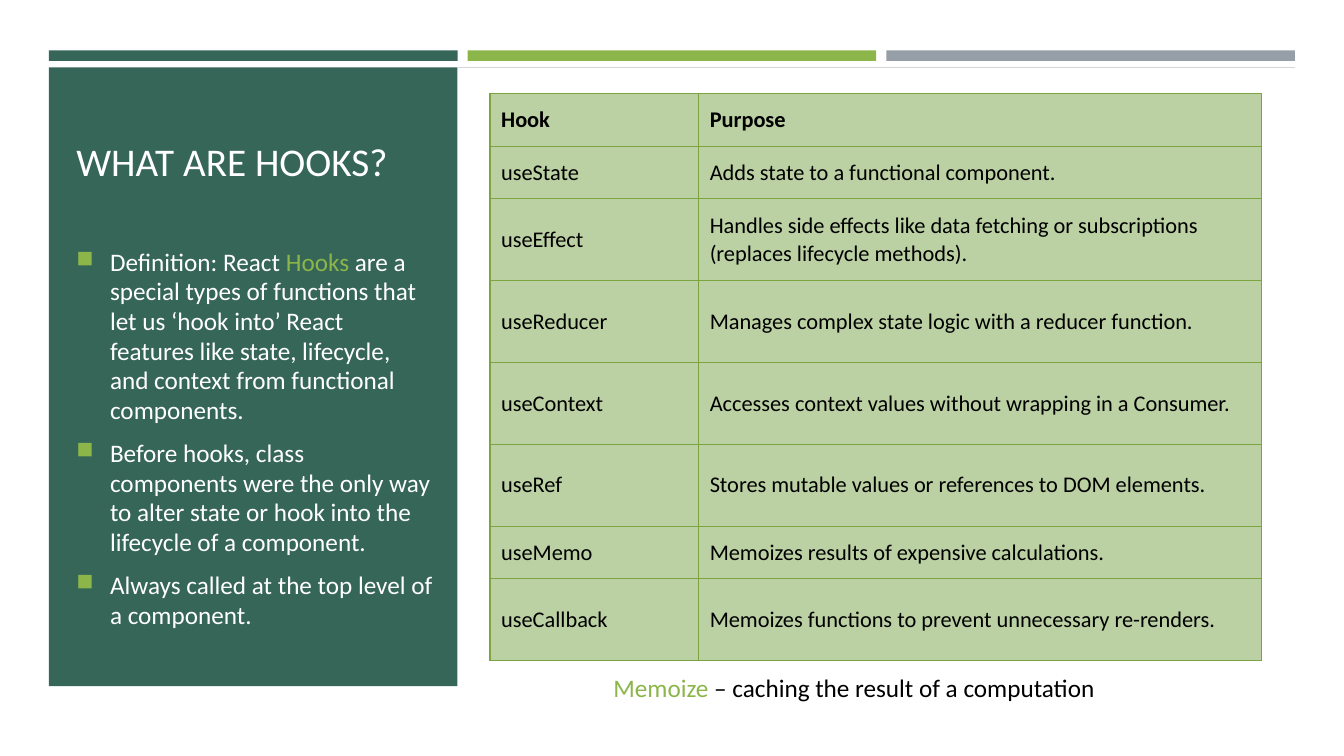
from lxml.etree import SubElement
from pptx import Presentation
from pptx.dml.color import RGBColor
from pptx.enum.shapes import MSO_CONNECTOR, MSO_SHAPE
from pptx.enum.text import MSO_ANCHOR
from pptx.oxml.ns import qn
from pptx.util import Pt

FONT = "Calibri"
GREEN, LIME, GREY = "366658", "8CB64A", "969FA7"
WHITE, BLACK = "FFFFFF", "000000"
CELL_FILL, CELL_BORDER, RULE = "BBD0A3", "7EA442", "D5D5D5"

DEFINITIONS = [
    [("Definition: React ", WHITE), ("Hooks", LIME),
     (" are a special types of functions that let us ‘hook into’ React features "
      "like state, lifecycle, and context from functional components.", WHITE)],
    [("Before hooks, class components were the only way to alter state or hook "
      "into the lifecycle of a component.", WHITE)],
    [("Always called at the top level of a component.", WHITE)],
]
SHORT_ROW, TALL_ROW = 37.5, 58.5
HOOKS = [
    ("Hook", "Purpose", SHORT_ROW),
    ("useState", "Adds state to a functional component.", SHORT_ROW),
    ("useEffect", "Handles side effects like data fetching or subscriptions "
     "(replaces lifecycle methods).", TALL_ROW),
    ("useReducer", "Manages complex state logic with a reducer function.", TALL_ROW),
    ("useContext", "Accesses context values without wrapping in a Consumer.", TALL_ROW),
    ("useRef", "Stores mutable values or references to DOM elements.", TALL_ROW),
    ("useMemo", "Memoizes results of expensive calculations.", SHORT_ROW),
    ("useCallback", "Memoizes functions to prevent unnecessary re-renders.", TALL_ROW),
]


def color(value):
    return RGBColor.from_string(value)


def add_block(slide, left, top, width, height, fill):
    block = slide.shapes.add_shape(
        MSO_SHAPE.RECTANGLE, Pt(left), Pt(top), Pt(width), Pt(height))
    block.shadow.inherit = False
    block.fill.solid()
    block.fill.fore_color.rgb = color(fill)
    block.line.fill.background()


def add_frame(slide, left, top, width, height, anchor, wrap=True):
    frame = slide.shapes.add_textbox(Pt(left), Pt(top), Pt(width), Pt(height)).text_frame
    frame.word_wrap = wrap
    frame.vertical_anchor = anchor
    return frame


def write(paragraph, pieces, size):
    """Fill a paragraph with (text, colour) pieces."""
    for text, text_color in pieces:
        run = paragraph.add_run()
        run.text = text
        run.font.color.rgb = color(text_color)
    paragraph.font.size = Pt(size)
    paragraph.font.name = FONT


def add_bullet(paragraph):
    properties = paragraph._p.get_or_add_pPr()
    properties.set("marL", str(Pt(24)))
    properties.set("indent", str(-Pt(24)))
    bullet_color = SubElement(properties, qn("a:buClr"))
    SubElement(bullet_color, qn("a:srgbClr"), val=LIME)
    SubElement(properties, qn("a:buSzPct"), val="92000")
    SubElement(properties, qn("a:buChar"), char="■")


def add_top_bars(slide, left, top, width, height):
    gap = 7.2
    bar_width = (width - 2 * gap) / 3
    for index, fill in enumerate((GREEN, LIME, GREY)):
        add_block(slide, left + index * (bar_width + gap), top, bar_width, height, fill)
    rule_top = Pt(top + 12.2)
    rule = slide.shapes.add_connector(
        MSO_CONNECTOR.STRAIGHT, Pt(left + bar_width), rule_top, Pt(left + width), rule_top)
    rule.line.color.rgb = color(RULE)
    rule.line.width = Pt(0.5)
    SubElement(rule._element.spPr, qn("a:effectLst"))


def add_definition_panel(slide, left, top, width, height):
    add_block(slide, left, top, width, height, GREEN)
    text_left, text_width = left + 12.5, width - 23
    title = add_frame(slide, text_left, top + 7, text_width, 80, MSO_ANCHOR.BOTTOM)
    write(title.paragraphs[0], [("WHAT ARE HOOKS?", WHITE)], 28)

    body = add_frame(slide, text_left, top + 106.5, text_width, 317.5, MSO_ANCHOR.MIDDLE)
    for index, pieces in enumerate(DEFINITIONS):
        paragraph = body.add_paragraph() if index else body.paragraphs[0]
        paragraph.line_spacing = 0.98
        paragraph.space_before = Pt(3.6 if index else 0)
        paragraph.space_after = Pt(6)
        add_bullet(paragraph)
        write(paragraph, pieces, 18)


def style_cell(cell):
    cell.margin_left = cell.margin_right = Pt(8)
    cell.margin_top = cell.margin_bottom = Pt(5.75)
    cell.vertical_anchor = MSO_ANCHOR.MIDDLE
    properties = cell._tc.get_or_add_tcPr()
    for side in ("lnL", "lnR", "lnT", "lnB"):
        border = SubElement(properties, qn(f"a:{side}"), w=str(Pt(1)))
        border_fill = SubElement(border, qn("a:solidFill"))
        SubElement(border_fill, qn("a:srgbClr"), val=CELL_BORDER)
    cell.fill.solid()
    cell.fill.fore_color.rgb = color(CELL_FILL)


def add_hook_table(slide, left, top, width):
    height = sum(row_height for *_, row_height in HOOKS)
    table = slide.shapes.add_table(
        len(HOOKS), 2, Pt(left), Pt(top), Pt(width), Pt(height)).table
    name_width = 149
    table.columns[0].width = Pt(name_width)
    table.columns[1].width = Pt(width - name_width)
    for row, (*texts, row_height) in enumerate(HOOKS):
        table.rows[row].height = Pt(row_height)
        for column, text in enumerate(texts):
            cell = table.cell(row, column)
            style_cell(cell)
            paragraph = cell.text_frame.paragraphs[0]
            write(paragraph, [(text, BLACK)], 16)
            paragraph.runs[0].font.bold = row == 0


def add_memoize_note(slide, left, top, width, height):
    note = add_frame(slide, left, top, width, height, MSO_ANCHOR.TOP, wrap=False)
    write(note.paragraphs[0],
          [("Memoize", LIME), (" – caching the result of a computation", BLACK)], 18)


def main():
    presentation = Presentation()
    presentation.slide_width, presentation.slide_height = Pt(960), Pt(540)
    slide = presentation.slides.add_slide(presentation.slide_layouts[6])
    add_top_bars(slide, 35, 36, 890, 7.5)
    add_definition_panel(slide, 35, 48.2, 291.8, 442)
    add_hook_table(slide, 350, 67, 551)
    add_memoize_note(slide, 431, 476.6, 361, 29)
    presentation.save("out.pptx")


if __name__ == "__main__":
    main()
